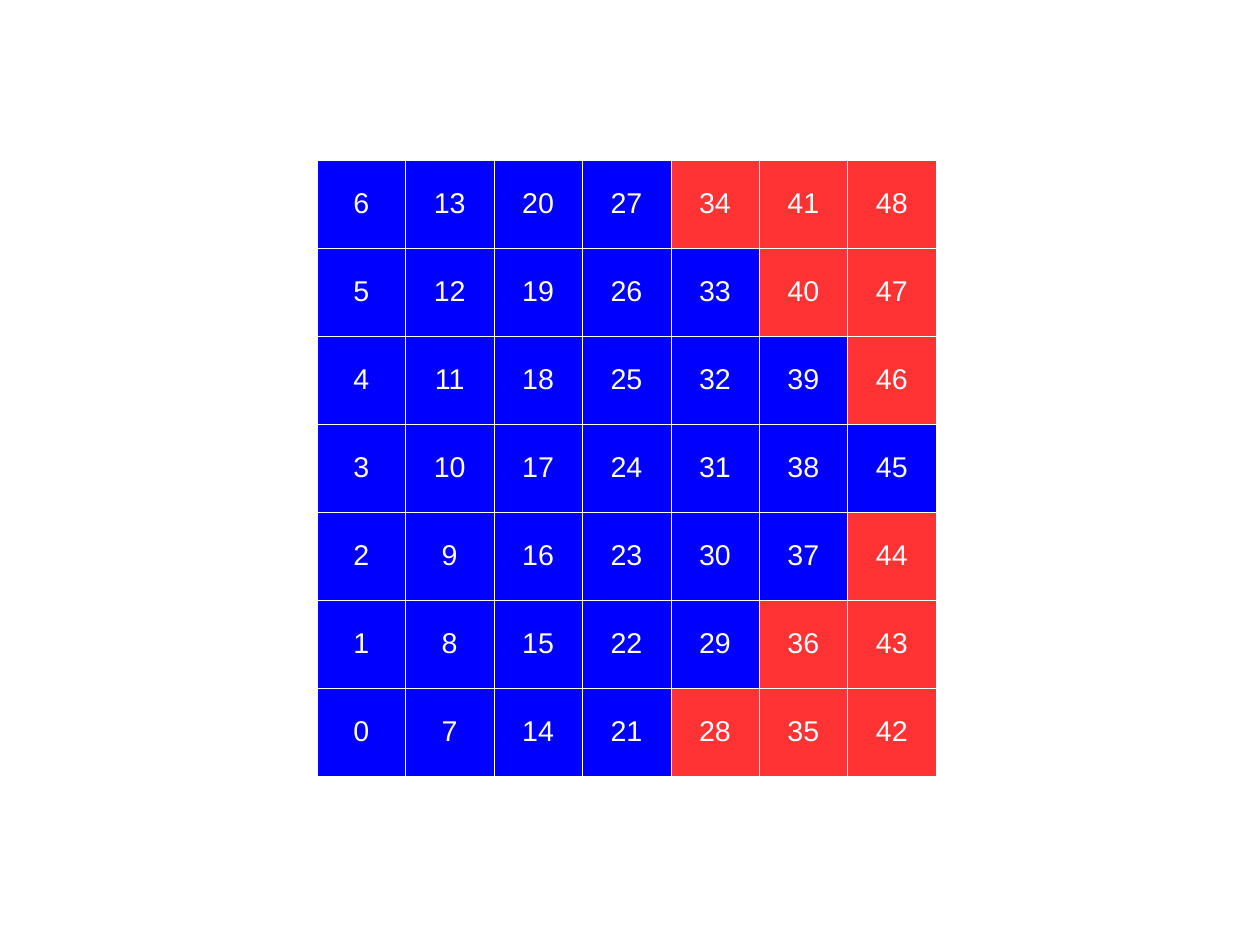
"""Build a slide with a seven by seven grid of numbered blue and red cells."""
import dataclasses

import lxml.etree
import pptx
import pptx.dml.color
import pptx.enum.text
import pptx.oxml.ns
import pptx.util


@dataclasses.dataclass(frozen=True)
class Theme:
    inside: str = "0000FF"
    outside: str = "FF3333"
    light: str = "FFFFFF"
    font: str = "Arial"
    number_size: int = 18
    border_width: float = 0.06


THEME = Theme()
PIXEL = 8000
SIDE = 7
MIDDLE = SIDE // 2


def write_text(cell, text, *, size, color, font, align):
    paragraph = cell.text_frame.paragraphs[0]
    paragraph.alignment = align
    run = paragraph.add_run()
    run.text = text
    run.font.size = pptx.util.Pt(size)
    run.font.name = font
    run.font.color.rgb = pptx.dml.color.RGBColor.from_string(color)


def draw_borders(cell, *, width, color):
    properties = cell._tc.get_or_add_tcPr()
    for position, edge in enumerate(("lnL", "lnR", "lnT", "lnB")):
        line = lxml.etree.Element(pptx.oxml.ns.qn(f"a:{edge}"), w=str(pptx.util.Pt(width)))
        solid = lxml.etree.SubElement(line, pptx.oxml.ns.qn("a:solidFill"))
        lxml.etree.SubElement(solid, pptx.oxml.ns.qn("a:srgbClr"), val=color)
        properties.insert(position, line)


presentation = pptx.Presentation()
presentation.slide_width = 1260 * PIXEL
presentation.slide_height = 945 * PIXEL
slide = presentation.slides.add_slide(presentation.slide_layouts[6])

number_grid = slide.shapes.add_table(
    SIDE, SIDE, 317 * PIXEL, 160 * PIXEL, 619 * PIXEL, 616 * PIXEL
).table
number_grid.first_row = False
number_grid.horz_banding = False

for row in range(SIDE):
    for column in range(SIDE):
        number = column * SIDE + SIDE - 1 - row
        beyond_point = column + abs(row - MIDDLE) >= SIDE
        cell = number_grid.cell(row, column)
        cell.vertical_anchor = pptx.enum.text.MSO_ANCHOR.MIDDLE
        cell.fill.solid()
        cell.fill.fore_color.rgb = pptx.dml.color.RGBColor.from_string(
            THEME.outside if beyond_point else THEME.inside
        )
        draw_borders(cell, width=THEME.border_width, color=THEME.light)
        write_text(
            cell,
            str(number),
            size=THEME.number_size,
            color=THEME.light,
            font=THEME.font,
            align=pptx.enum.text.PP_ALIGN.CENTER,
        )

presentation.save("out.pptx")
